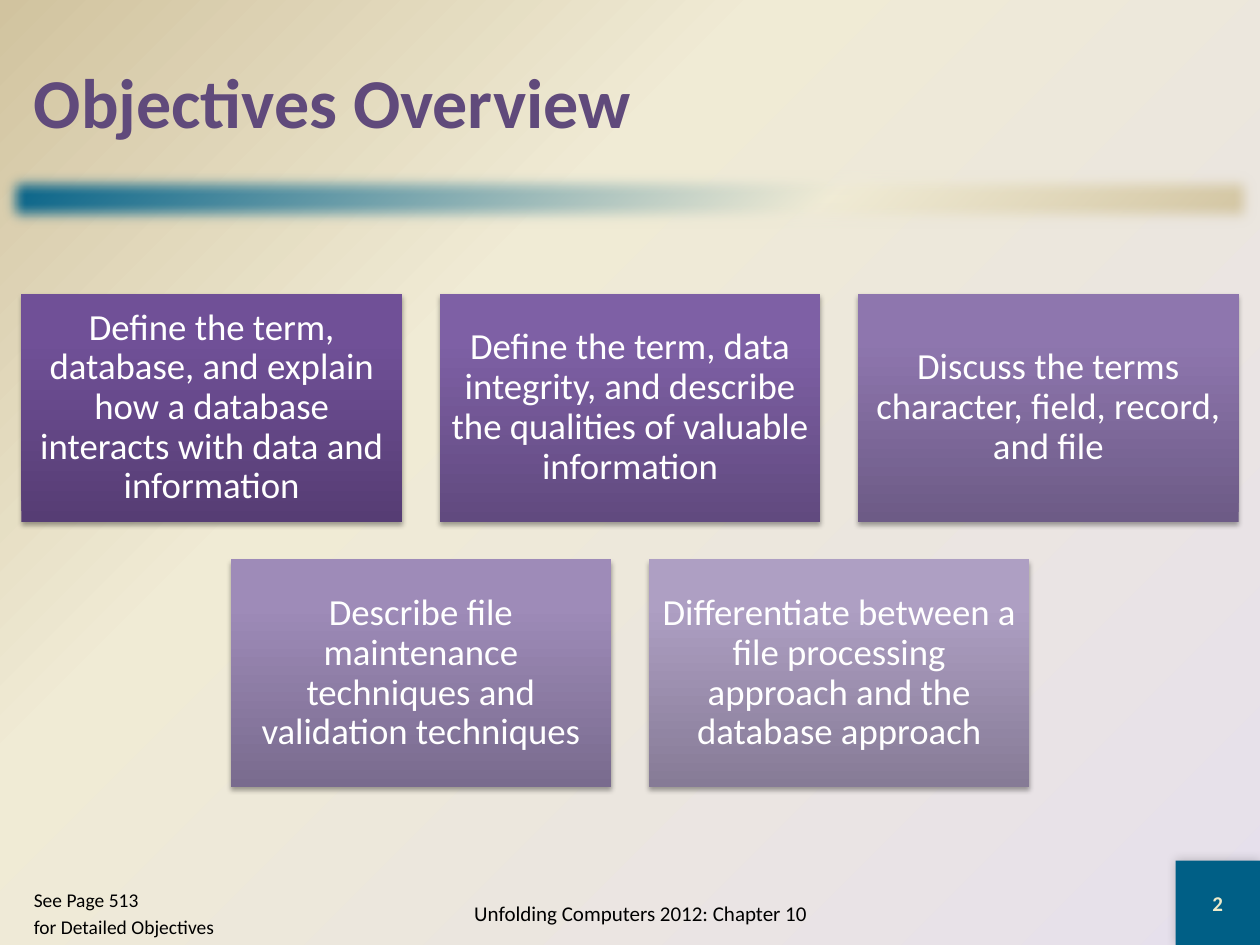
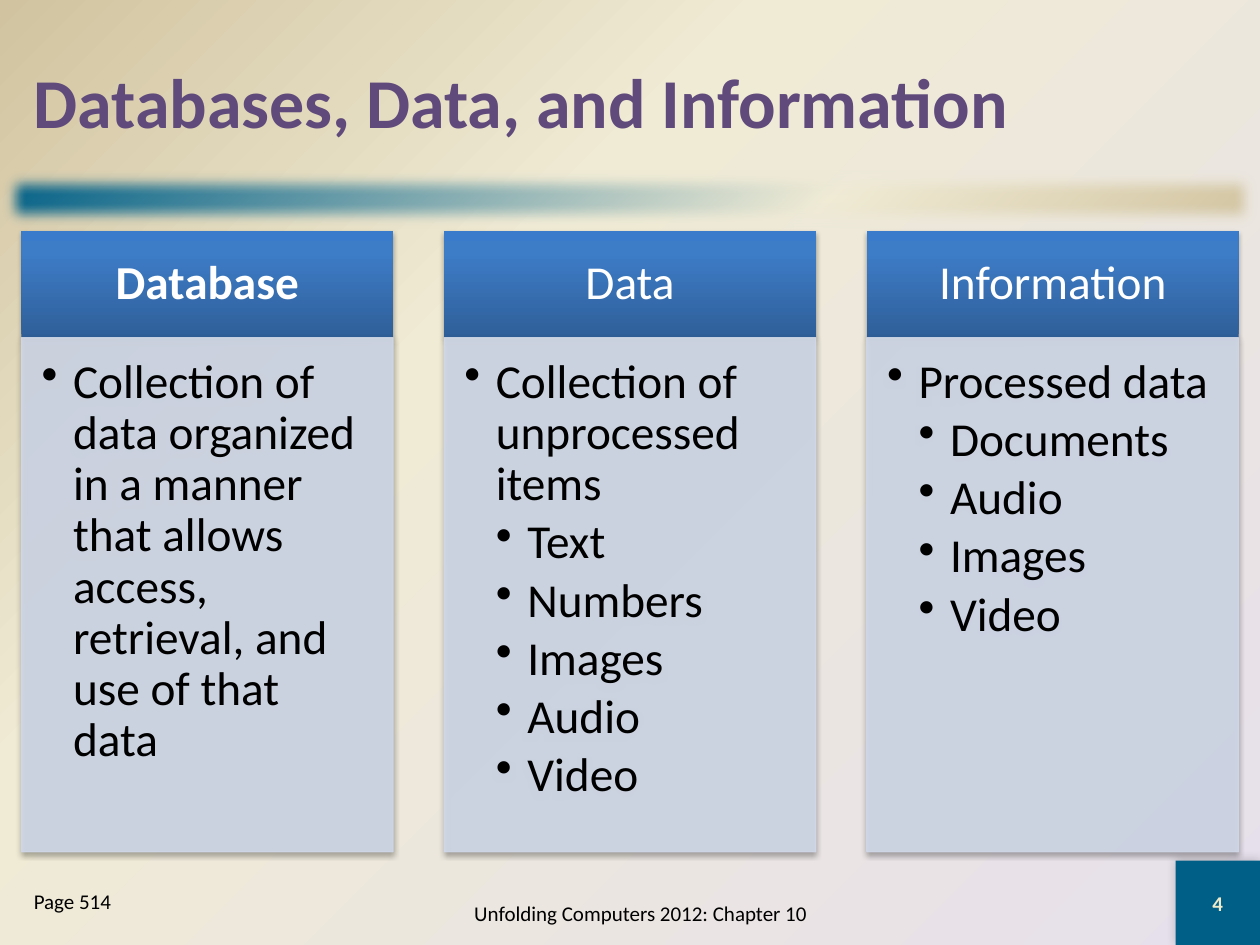
from lxml.etree import SubElement
from pptx import Presentation
from pptx.dml.color import RGBColor
from pptx.enum.shapes import MSO_SHAPE
from pptx.enum.text import MSO_ANCHOR, PP_ALIGN
from pptx.oxml import parse_xml
from pptx.oxml.ns import nsdecls, qn
from pptx.util import Inches, Pt

FONT = "Calibri"
TITLE, TEAL, CREAM = "604A7B", "005F86", "EEEBCA"
BLACK, WHITE, PANEL = "000000", "FFFFFF", "D0D8E8"
CARDS = [
    ("563D74", "705097", "704F99"),
    ("614A7F", "7E60A5", "7F60A7"),
    ("6D5B86", "8E76AE", "8E75B0"),
    ("796B8E", "9E8BB8", "9E8BBA"),
    ("867B96", "AE9FC3", "AE9FC4"),
]
HEADER = ("2F5F99", "3D7CC7", "3A7CCB")
LEFT, SPAN = 0.17, 9.66
INSET = (0.1, 0.05, 0.1, 0.05)
RISE = '<a:lin ang="16200000" scaled="0"/>'
SLANT = '<a:lin ang="2700000" scaled="0"/>'
CORNER = '<a:path path="circle"><a:fillToRect l="100000" t="100000"/></a:path>'


def hue(code):
    return RGBColor.from_string(code)


def blend(fill, parent, colors, middle, way):
    """Give parent a three-stop gradient; middle is the percent of the second stop."""
    fill.solid()
    stops = "".join(
        f'<a:gs pos="{pos * 1000}"><a:srgbClr val="{code}"/></a:gs>'
        for pos, code in zip((0, middle, 100), colors))
    grad = parse_xml(f'<a:gradFill {nsdecls("a")} rotWithShape="1">'
                     f'<a:gsLst>{stops}</a:gsLst>{way}</a:gradFill>')
    plain = parent.find(qn("a:solidFill"))
    parent.replace(plain, grad)


def spread(width):
    """Left edges of three equal columns that fill the span."""
    step = (SPAN - width) / 2
    return [LEFT + i * step for i in range(3)]


class Deck:
    """Holds the presentation, its style and the current slide."""

    def __init__(self):
        self.prs = Presentation()
        self.prs.slide_width, self.prs.slide_height = Inches(10), Inches(7.5)
        self.slide = None

    def page(self, title, number, notes, size):
        """Start a slide with its background, band, title and footers."""
        self.slide = self.prs.slides.add_slide(self.prs.slide_layouts[6])
        back = self.slide.background.fill
        back.solid()
        props = self.slide.element.find(".//" + qn("p:bgPr"))
        blend(back, props, ("E6E0EC", "F0EBD5", "D1C39F"), 65, CORNER)
        self.band()
        self.text((LEFT, 0.17, 9.67, 1.25), [title], 40, TITLE, bold=True)
        tile = self.rect((9.33, 6.83, 0.67, 0.67), TEAL)
        self.shade(tile, 20, 6, 0, 225)
        self.label(tile, [number], 12, CREAM, bold=True, align=PP_ALIGN.CENTER)
        self.text((3, 7, 4.17, 0.5), ["Unfolding Computers 2012: Chapter 10"],
                  12, BLACK, align=PP_ALIGN.CENTER)
        self.text((LEFT, 7, 1.83, 0.5), notes, size, BLACK,
                  anchor=MSO_ANCHOR.TOP, before=2.2)

    def rect(self, spot, color):
        """Add a plain rectangle; color is one hex string or None."""
        shape = self.slide.shapes.add_shape(
            MSO_SHAPE.RECTANGLE, *[Inches(v) for v in spot])
        shape.shadow.inherit = False
        shape.line.fill.background()
        if color:
            shape.fill.solid()
            shape.fill.fore_color.rgb = hue(color)
        return shape

    def band(self):
        shape = self.rect((0, 1.33, 10, 0.5), None)
        props = shape.element.spPr
        blend(shape.fill, props, (TEAL, "F0EBD5", "D1C39F"), 65, SLANT)
        SubElement(props.find(qn("a:effectLst")), qn("a:softEdge"), rad="112500")

    def shade(self, shape, alpha=35, blur=3.1, dist=1.8, turn=90):
        """Add an outer shadow; alpha in percent, blur and dist in points."""
        effects = shape.element.spPr.find(qn("a:effectLst"))
        outer = SubElement(effects, qn("a:outerShdw"), blurRad=str(Pt(blur)),
                           dist=str(Pt(dist)), dir=str(turn * 60000),
                           rotWithShape="0")
        color = SubElement(outer, qn("a:srgbClr"), val=BLACK)
        SubElement(color, qn("a:alpha"), val=str(alpha * 1000))

    def label(self, shape, lines, size, color, bold=False, align=PP_ALIGN.LEFT,
              anchor=MSO_ANCHOR.MIDDLE, inset=INSET, before=0, after=0,
              pitch=1.0, bullets=False):
        """Fill a shape with lines; with bullets, those after the first go deeper."""
        frame = shape.text_frame
        frame.word_wrap = True
        frame.vertical_anchor = anchor
        (frame.margin_left, frame.margin_top,
         frame.margin_right, frame.margin_bottom) = [Inches(v) for v in inset]
        for i, line in enumerate(lines):
            para = frame.add_paragraph() if i else frame.paragraphs[0]
            para.text = line
            para.alignment = align
            para.line_spacing = pitch
            para.space_before = Pt(before if i else 0)
            para.space_after = Pt(after)
            if bullets:
                props = para._p.get_or_add_pPr()
                props.set("marL", str(Inches(0.5 if i else 0.25)))
                props.set("indent", str(Inches(-0.25)))
                SubElement(props, qn("a:buChar"), char="•")
            font = para.font
            font.name, font.size, font.bold = FONT, Pt(size), bold
            font.color.rgb = hue(color)

    def text(self, spot, lines, size, color, **style):
        box = self.slide.shapes.add_textbox(*[Inches(v) for v in spot])
        self.label(box, lines, size, color, **style)

    def card(self, spot, words, size, colors, inset, bold=False):
        """Add a shaded gradient box with centred words."""
        shape = self.rect(spot, None)
        blend(shape.fill, shape.element.spPr, colors, 80, RISE)
        self.shade(shape)
        self.label(shape, [words], size, WHITE, bold=bold, pitch=0.9,
                   align=PP_ALIGN.CENTER, inset=inset)

    def panel(self, spot, lines):
        """Add a see-through box with a bullet list."""
        shape = self.rect(spot, PANEL)
        shape.line.color.rgb = hue(PANEL)
        shape.line.width = Pt(0.75)
        for color in shape.element.spPr.iter(qn("a:srgbClr")):
            SubElement(color, qn("a:alpha"), val="90000")
        self.shade(shape)
        self.label(shape, lines, 27, BLACK, anchor=MSO_ANCHOR.TOP, pitch=0.9,
                   inset=(0.16, 0.16, 0.21, 0.24), after=4, bullets=True)


def goals(deck):
    deck.page("Objectives Overview", "2",
              ["See Page 513", "for Detailed Objectives"], 11.1)
    aims = [
        "Define the term, database, and explain how a database interacts "
        "with data and information",
        "Define the term, data integrity, and describe the qualities of "
        "valuable information",
        "Discuss the terms character, field, record, and file",
        "Describe file maintenance techniques and validation techniques",
        "Differentiate between a file processing approach and the "
        "database approach",
    ]
    wide, high = 3.02, 1.81
    top = spread(wide)
    half = (top[1] - top[0]) / 2
    spots = [(x, 2.33) for x in top] + [(x + half, 4.44) for x in top[:2]]
    for (x, y), aim, colors in zip(spots, aims, CARDS):
        deck.card((x, y, wide, high), aim, 21, colors, (0.09,) * 4)


def terms(deck):
    deck.page("Databases, Data, and Information", "4", ["Page 514"], 12)
    columns = [
        ("Database", ["Collection of data organized in a manner that allows "
                      "access, retrieval, and use of that data"]),
        ("Data", ["Collection of unprocessed items", "Text", "Numbers",
                  "Images", "Audio", "Video"]),
        ("Information", ["Processed data", "Documents", "Audio", "Images",
                         "Video"]),
    ]
    wide = 2.95
    for x, (head, lines) in zip(spread(wide), columns):
        deck.card((x, 1.83, wide, 0.85), head, 27, HEADER,
                  (0.21, 0.12, 0.21, 0.12), bold=head == "Database")
        deck.panel((x, 2.68, wide, 4.08), lines)


def main():
    deck = Deck()
    goals(deck)
    terms(deck)
    deck.prs.save("out.pptx")


if __name__ == "__main__":
    main()
